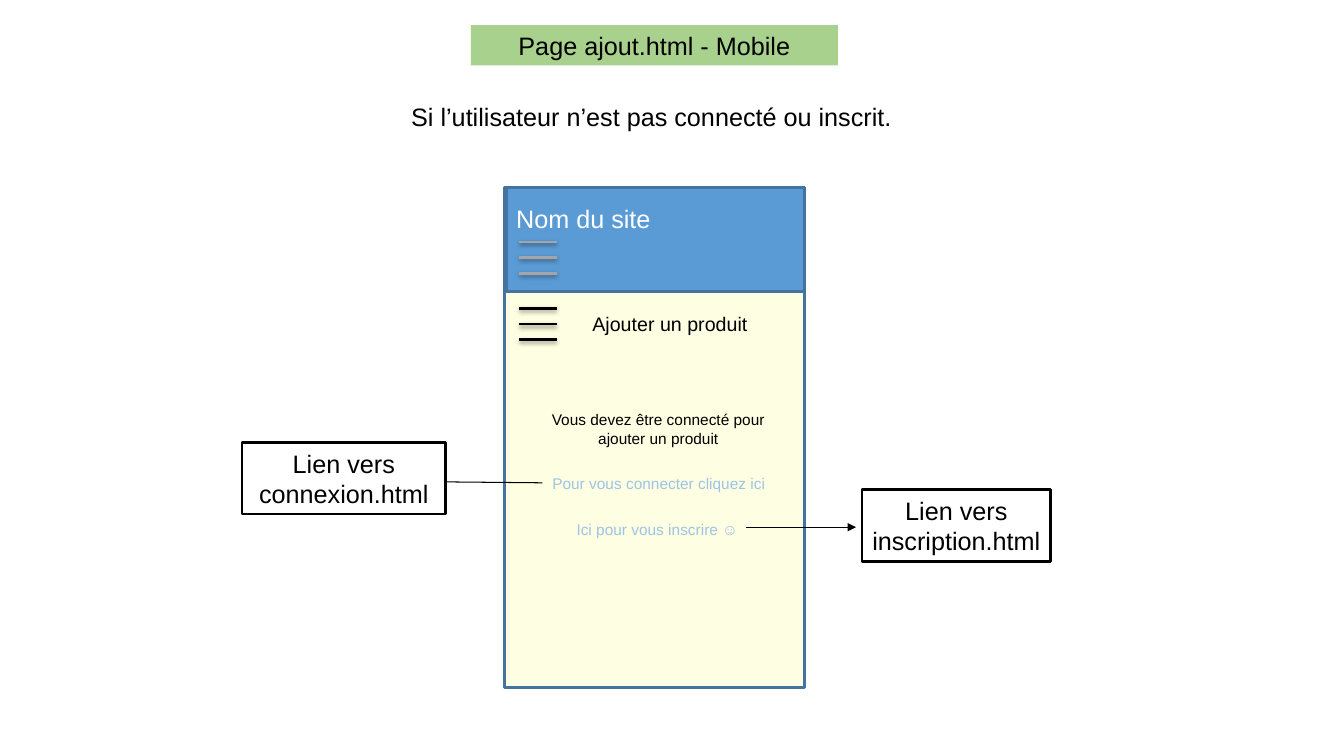
"""Build the mobile wireframe slide of the ajout.html page."""
from lxml import etree
from pptx import Presentation
from pptx.dml.color import RGBColor
from pptx.enum.shapes import MSO_CONNECTOR, MSO_SHAPE
from pptx.enum.text import MSO_ANCHOR, PP_ALIGN
from pptx.oxml import parse_xml
from pptx.oxml.ns import nsdecls, qn
from pptx.util import Inches, Pt

RECT = MSO_SHAPE.RECTANGLE
LINE = MSO_CONNECTOR.STRAIGHT
MIDDLE = MSO_ANCHOR.MIDDLE
LEFT, CENTER = PP_ALIGN.LEFT, PP_ALIGN.CENTER
BLACK, WHITE, BLUE, LINK = "000000", "FFFFFF", "43739E", "9DC3E6"
SHADOW = f"""<a:effectLst {nsdecls("a")}>
<a:outerShdw blurRad="39370" dist="20320" dir="5400000" rotWithShape="0">
<a:srgbClr val="000000"><a:alpha val="38000"/></a:srgbClr>
</a:outerShdw></a:effectLst>"""
FLAT = f"<a:effectLst {nsdecls('a')}/>"

prs = Presentation()
prs.slide_width, prs.slide_height = Inches(13.33), Inches(7.5)
slide = prs.slides.add_slide(prs.slide_layouts[6])
shapes = slide.shapes
color = RGBColor.from_string


def write(shape, text, size, ink=BLACK, align=CENTER):
    frame = shape.text_frame
    frame.word_wrap = True
    frame.vertical_anchor = MIDDLE
    frame.margin_left = frame.margin_right = Inches(0.05 if align == CENTER else 0.1)
    para = frame.paragraphs[0]
    para.text = text
    para.alignment = align
    para.font.name = "Arial"
    para.font.size = Pt(size)
    para.font.color.rgb = color(ink)


def draw(start, end, ink, width, effect):
    line = shapes.add_connector(LINE, *map(Inches, start + end))
    line.line.color.rgb = color(ink)
    line.line.width = Pt(width)
    line._element.spPr.append(parse_xml(effect))
    return line


panels = [
    ((4.67, 0.25, 3.64, 0.4), "A9D18E", None, "Page ajout.html - Mobile"),
    ((5, 1.86, 2.98, 4.96), "FEFEE2", BLUE, None),
    ((5.02, 1.86, 2.96, 1.03), "5B9BD5", BLUE, None),
    ((8.55, 4.86, 1.87, 0.71), WHITE, BLACK, "Lien vers inscription.html"),
    ((2.4, 4.39, 2.02, 0.71), WHITE, BLACK, "Lien vers connexion.html"),
]
for spot, fill, edge, text in panels:
    panel = shapes.add_shape(RECT, *map(Inches, spot))
    panel.shadow.inherit = False
    panel.fill.solid()
    panel.fill.fore_color.rgb = color(fill)
    if edge:
        panel.line.color.rgb = color(edge)
        panel.line.width = Pt(2)
    else:
        panel.line.fill.background()
    if text:
        write(panel, text, 18)

labels = [
    ((3.98, 0.96, 5.1, 0.4), "Si l’utilisateur n’est pas connecté ou inscrit.", 18, BLACK, LEFT),
    ((5.02, 1.97, 1.59, 0.4), "Nom du site", 18, WHITE, LEFT),
    ((5.75, 3.04, 1.79, 0.34), "Ajouter un produit", 14, BLACK, CENTER),
    ((5.33, 4.02, 2.4, 0.47), "Vous devez être connecté pour ajouter un produit", 11, BLACK, CENTER),
    ((5.38, 4.65, 2.31, 0.29), "Pour vous connecter cliquez ici", 11, LINK, CENTER),
    ((5.62, 5.11, 1.83, 0.29), "Ici pour vous inscrire ☺", 11, LINK, LEFT),
]
for spot, text, size, ink, align in labels:
    write(shapes.add_textbox(*map(Inches, spot)), text, size, ink, align)

for top, ink in ((2.4, "A5A5A5"), (3.06, BLACK)):
    for row in range(3):
        y = top + row * 0.155
        draw((5.15, y), (5.52, y), ink, 2, SHADOW)

arrows = [((7.4, 5.23), (8.49, 5.23)), ((5.38, 4.79), (4.35, 4.78))]
for start, end in arrows:
    arrow = draw(start, end, BLACK, 0.75, FLAT)
    etree.SubElement(arrow.line._get_or_add_ln(), qn("a:tailEnd"), type="triangle")
    if end[0] < start[0]:
        box = shapes[4]._element
        box.getparent().append(box)

prs.save("out.pptx")
